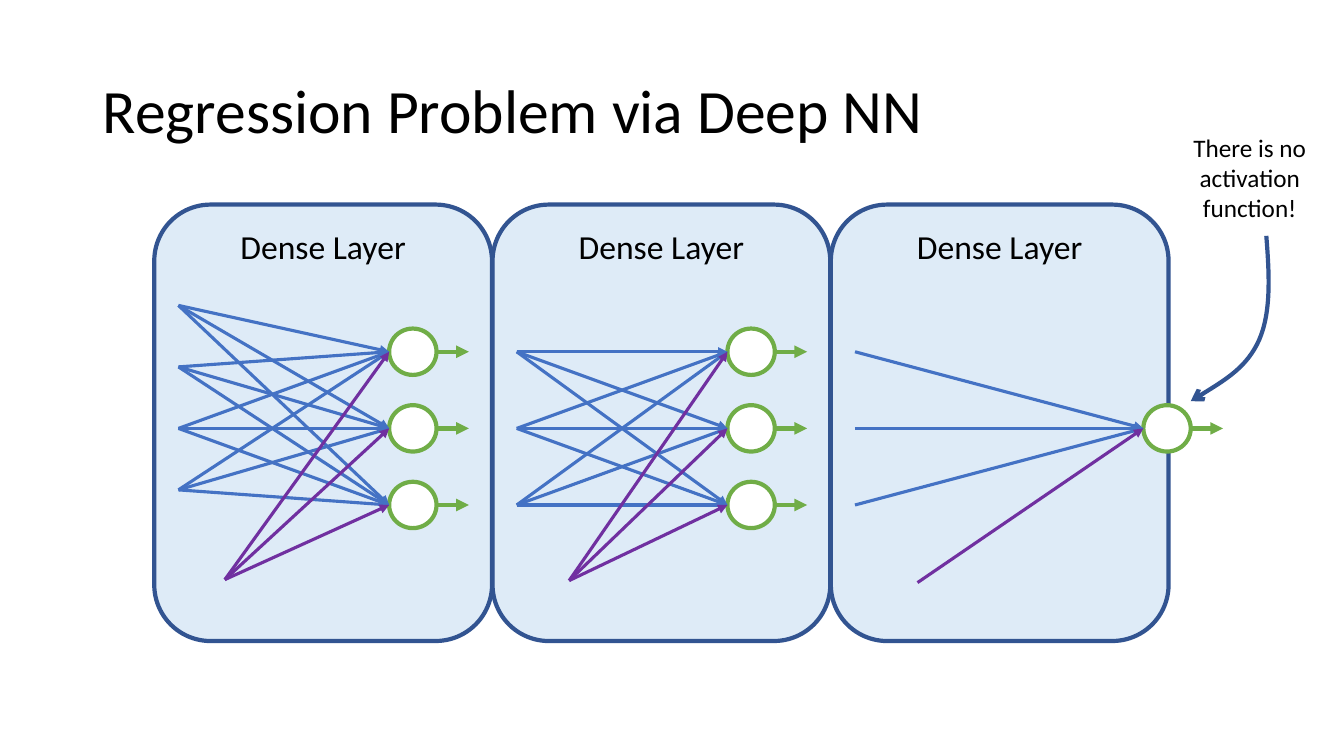
"""Build a slide on a regression problem solved by a deep neural network."""
from itertools import product
from lxml.etree import SubElement
from pptx import Presentation
from pptx.dml.color import RGBColor
from pptx.enum.shapes import MSO_CONNECTOR, MSO_SHAPE
from pptx.enum.text import MSO_ANCHOR, PP_ALIGN
from pptx.oxml.ns import qn
from pptx.util import Inches, Pt

TITLE = "Regression Problem via Deep NN"
NOTE = "There is no activation function!"
LAYERS = [
    {"name": "Dense Layer", "inputs": [-2, -1, 0, 1], "input_pitch": 0.61, "input_x": 0.24,
     "nodes": [-1, 0, 1], "node_x": 2.33, "bias": (0.7, 5.75)},
    {"name": "Dense Layer", "inputs": [-1, 0, 1], "input_pitch": 0.76, "input_x": 0.24,
     "nodes": [-1, 0, 1], "node_x": 2.33, "bias": (0.76, 5.76)},
    {"name": "Dense Layer", "inputs": [-1, 0, 1], "input_pitch": 0.76, "input_x": 0.24,
     "nodes": [0], "node_x": 3.1, "bias": (0.86, 5.78)},
]
NOTE_CURVE = [(12.56, 2.34), (12.59, 2.72), (12.61, 3.09), (12.49, 3.37),
              (12.37, 3.64), (12.09, 3.81), (11.81, 3.98)]

BLACK = RGBColor(0x00, 0x00, 0x00)
WHITE = RGBColor(0xFF, 0xFF, 0xFF)
PANEL = RGBColor(0xDE, 0xEB, 0xF7)
NAVY = RGBColor(0x32, 0x54, 0x91)
GREEN = RGBColor(0x70, 0xAD, 0x47)
BLUE = RGBColor(0x44, 0x72, 0xC4)
PURPLE = RGBColor(0x70, 0x30, 0xA0)

LAYER_LEFT, LAYER_TOP = 1.53, 2.03
LAYER_SIZE = (3.35, 4.33)
LAYER_PITCH = (8.24 - LAYER_LEFT) / 2
MIDDLE, NODE_PITCH = 4.25, 0.76
NODE_SIZE = (0.47, 0.46)
OUTPUT_LENGTH = 0.32


def write(frame, text, size=24, align=PP_ALIGN.CENTER, anchor=MSO_ANCHOR.TOP, spacing=None):
    frame.word_wrap = True
    frame.vertical_anchor = anchor
    paragraph = frame.paragraphs[0]
    paragraph.alignment = align
    paragraph.line_spacing = spacing
    run = paragraph.add_run()
    run.text = text
    run.font.name = "Calibri"
    run.font.size = Pt(size)
    run.font.color.rgb = BLACK


def add_outlined(slide, kind, place, size, fill, line):
    shape = slide.shapes.add_shape(kind, *map(Inches, place + size))
    shape.shadow.inherit = False
    shape.fill.solid()
    shape.fill.fore_color.rgb = fill
    shape.line.color.rgb = line
    shape.line.width = Pt(3)
    return shape


def add_head(shape, kind):
    SubElement(shape.line._get_or_add_ln(), qn("a:tailEnd"), type=kind)


def add_arrow(slide, start, end, color, width=2.25):
    arrow = slide.shapes.add_connector(MSO_CONNECTOR.STRAIGHT, *map(Inches, start + end))
    arrow.line.color.rgb = color
    arrow.line.width = Pt(width)
    add_head(arrow, "triangle")
    SubElement(arrow._element.spPr, qn("a:effectLst"))


def add_curve(slide, points):
    start, *steps = [tuple(map(Inches, point)) for point in points]
    builder = slide.shapes.build_freeform(*start)
    builder.add_line_segments(steps, close=False)
    curve = builder.convert_to_shape()
    outline = curve._element.spPr.find(".//" + qn("a:path"))
    for index, step in enumerate(outline.findall(qn("a:lnTo"))):
        if index % 3 == 0:
            bezier = SubElement(outline, qn("a:cubicBezTo"))
        bezier.append(step[0])
        outline.remove(step)
    curve.shadow.inherit = False
    curve.fill.background()
    curve.line.color.rgb = NAVY
    curve.line.width = Pt(3)
    add_head(curve, "arrow")


def add_network(slide, layer, left):
    node_x = left + layer["node_x"]
    width, height = NODE_SIZE
    targets = [(node_x, MIDDLE + row * NODE_PITCH) for row in layer["nodes"]]
    sources = [(left + layer["input_x"], MIDDLE + row * layer["input_pitch"])
               for row in layer["inputs"]]
    bias_x, bias_y = layer["bias"]
    for x, y in targets:
        add_outlined(slide, MSO_SHAPE.OVAL, (x, y - height / 2), NODE_SIZE, WHITE, GREEN)
        add_arrow(slide, (x + width, y), (x + width + OUTPUT_LENGTH, y), GREEN, width=3)
    for source, target in product(sources, targets):
        add_arrow(slide, source, target, BLUE)
    for target in targets:
        add_arrow(slide, (left + bias_x, bias_y), target, PURPLE)


def main():
    deck = Presentation()
    deck.slide_width, deck.slide_height = Inches(13.33), Inches(7.5)
    slide = deck.slides.add_slide(deck.slide_layouts[5])

    title = slide.shapes.title
    title.left, title.top, title.width, title.height = map(Inches, (0.92, 0.4, 11.5, 1.45))
    write(title.text_frame, TITLE, size=44, align=PP_ALIGN.LEFT,
          anchor=MSO_ANCHOR.MIDDLE, spacing=0.9)

    lefts = [LAYER_LEFT + column * LAYER_PITCH for column in range(len(LAYERS))]
    for layer, left in reversed(list(zip(LAYERS, lefts))):
        panel = add_outlined(slide, MSO_SHAPE.ROUNDED_RECTANGLE, (left, LAYER_TOP),
                             LAYER_SIZE, PANEL, NAVY)
        write(panel.text_frame, layer["name"])
    for layer, left in zip(LAYERS, lefts):
        add_network(slide, layer, left)

    add_curve(slide, NOTE_CURVE)
    note = slide.shapes.add_textbox(*map(Inches, (11.34, 1.26, 2.11, 1.01)))
    write(note.text_frame, NOTE, size=18)
    deck.save("out.pptx")


if __name__ == "__main__":
    main()
